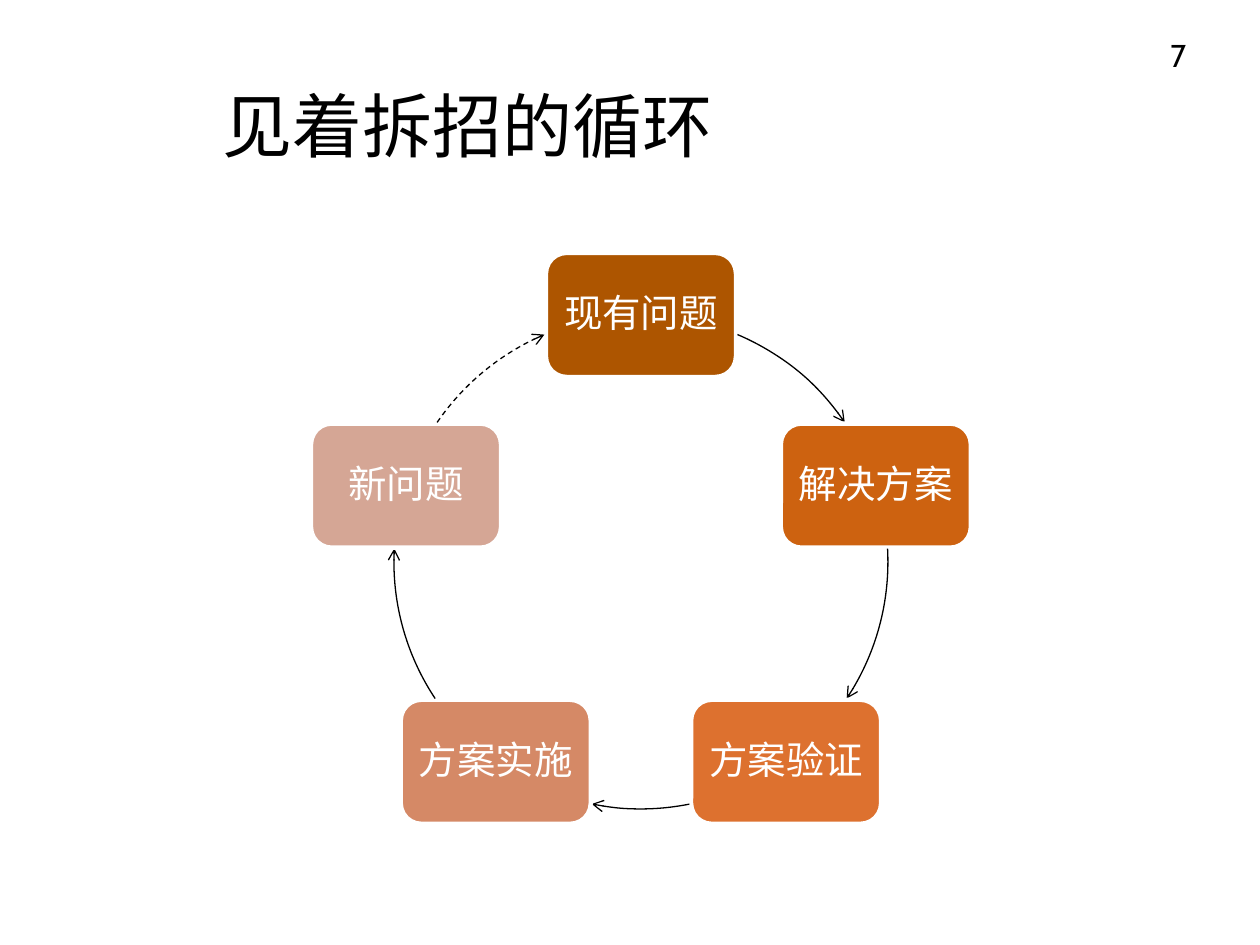
from dataclasses import dataclass
from math import cos, radians, sin

from lxml import etree
from pptx import Presentation
from pptx.dml.color import RGBColor
from pptx.enum.dml import MSO_LINE
from pptx.enum.shapes import MSO_SHAPE
from pptx.enum.text import MSO_ANCHOR, MSO_AUTO_SIZE, PP_ALIGN
from pptx.oxml.ns import qn
from pptx.util import Emu, Pt

ROUNDED, ARC = MSO_SHAPE.ROUNDED_RECTANGLE, MSO_SHAPE.ARC
LEFT, CENTER = PP_ALIGN.LEFT, PP_ALIGN.CENTER
TOP, MIDDLE = MSO_ANCHOR.TOP, MSO_ANCHOR.MIDDLE
DASH = MSO_LINE.DASH
NO_AUTOFIT = MSO_AUTO_SIZE.NONE

BLACK = RGBColor(0x00, 0x00, 0x00)
WHITE = RGBColor(0xFF, 0xFF, 0xFF)
BROWN = RGBColor(0xAD, 0x55, 0x00)
RUST = RGBColor(0xCD, 0x62, 0x10)
ORANGE = RGBColor(0xDD, 0x71, 0x2F)
SALMON = RGBColor(0xD5, 0x89, 0x66)
ROSE = RGBColor(0xD5, 0xA6, 0x95)

CHINESE_FONT = "Noto Sans CJK SC"
NUMBER_FONT = "Cabin"
TITLE_ONLY = 5

# Geometry of the cycle, in px
CENTER_X, CENTER_Y, RADIUS = 641, 562, 247
BOX_WIDTH, BOX_HEIGHT, BOX_INSET = 190, 124, 10


@dataclass(frozen=True)
class Step:
    """A stage of the cycle and the arc (clockwise degrees) leaving it."""
    label: str
    color: RGBColor
    arc_start: float
    arc_end: float
    dashed: bool = False


STEPS = [
    Step("现有问题", BROWN, 293, 325.6),
    Step("解决方案", RUST, 356.9, 33.6),
    Step("方案验证", ORANGE, 78.7, 101.5),
    Step("方案实施", SALMON, 146.4, 183.1),
    Step("新问题", ROSE, 214.4, 247, dashed=True),
]


def px(length: float) -> Emu:
    return Emu(round(length * 914400 / 126))


def write_text(shape, text: str, size: int, font_name: str = CHINESE_FONT,
               color: RGBColor = BLACK, alignment=LEFT, anchor=MIDDLE) -> None:
    frame = shape.text_frame
    frame.text = text
    for name, value in {"word_wrap": True, "auto_size": NO_AUTOFIT,
                        "vertical_anchor": anchor}.items():
        setattr(frame, name, value)
    paragraph = frame.paragraphs[0]
    paragraph.alignment = alignment
    font = paragraph.runs[0].font
    for name, value in {"size": Pt(size), "name": font_name}.items():
        setattr(font, name, value)
    font.color.rgb = color
    properties = paragraph.runs[0]._r.get_or_add_rPr()
    etree.SubElement(properties, qn("a:ea"), typeface=font_name)


def draw_arrow(slide, step: Step) -> None:
    arc = slide.shapes.add_shape(
        ARC, px(CENTER_X - RADIUS), px(CENTER_Y - RADIUS),
        px(2 * RADIUS), px(2 * RADIUS))
    arc.shadow.inherit = False
    # Arc angles are 60000ths of a degree; adjustments are 100000ths
    for index, angle in enumerate((step.arc_start, step.arc_end)):
        arc.adjustments[index] = angle * 0.6
    arc.fill.background()
    arc.line.color.rgb = BLACK
    arc.line.width = Pt(0.75)
    if step.dashed:
        arc.line.dash_style = DASH
    etree.SubElement(arc.line._get_or_add_ln(), qn("a:tailEnd"), type="arrow")


def draw_box(slide, step: Step, angle: float) -> None:
    center_x = CENTER_X + RADIUS * cos(radians(angle))
    center_y = CENTER_Y + RADIUS * sin(radians(angle))
    box = slide.shapes.add_shape(
        ROUNDED, px(center_x - BOX_WIDTH / 2), px(center_y - BOX_HEIGHT / 2),
        px(BOX_WIDTH), px(BOX_HEIGHT))
    box.shadow.inherit = False
    box.fill.solid()
    box.fill.fore_color.rgb = step.color
    box.line.color.rgb = WHITE
    box.line.width = Pt(2.5)
    write_text(box, step.label, 22, color=WHITE, alignment=CENTER)
    for side in ("left", "right", "top", "bottom"):
        setattr(box.text_frame, f"margin_{side}", px(BOX_INSET))
    box.text_frame.paragraphs[0].line_spacing = 0.9


def main() -> None:
    presentation = Presentation()
    presentation.slide_width, presentation.slide_height = px(1260), px(945)
    slide = presentation.slides.add_slide(presentation.slide_layouts[TITLE_ONLY])

    # Title
    title = slide.shapes.title
    for name, value in {"left": 210, "top": 53, "width": 977, "height": 144}.items():
        setattr(title, name, px(value))
    write_text(title, "见着拆招的循环", 40)

    # Cycle, clockwise from the top
    for index, step in enumerate(STEPS):
        draw_box(slide, step, -90 + index * 360 / len(STEPS))
        draw_arrow(slide, step)

    # Slide number
    number = slide.shapes.add_textbox(px(1158), px(30), px(68), px(50))
    write_text(number, "7", 18, NUMBER_FONT, anchor=TOP)

    presentation.save("out.pptx")


if __name__ == "__main__":
    main()
